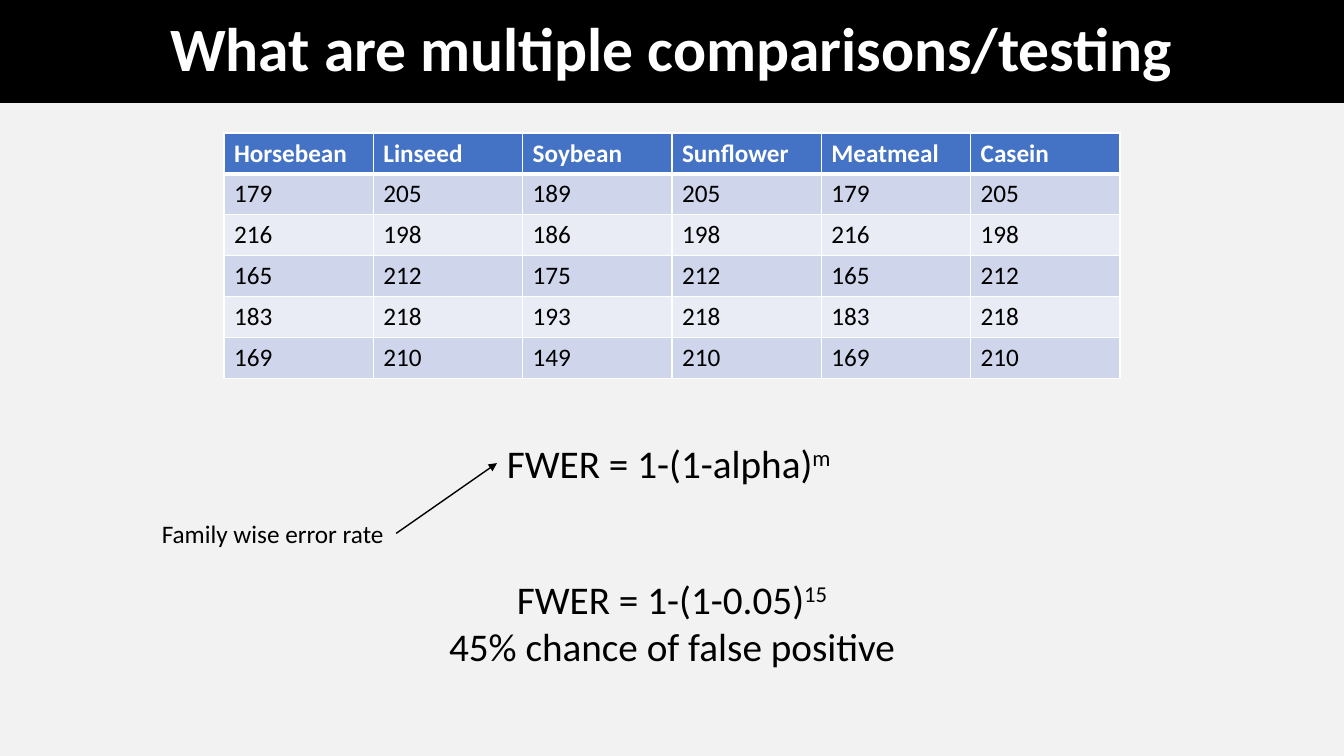
from lxml import etree
from pptx import Presentation, util as u
from pptx.dml.color import RGBColor
from pptx.enum import shapes, text
from pptx.oxml import ns

COLORS = {
    "background": "F2F2F2",
    "black": "000000",
    "white": "FFFFFF",
    "header": "4472C4",
    "odd_row": "CFD5EA",
    "even_row": "E9EBF5",
}
FEEDS = [
    ("Horsebean", "Linseed", "Soybean", "Sunflower", "Meatmeal", "Casein"),
    (179, 205, 189, 205, 179, 205),
    (216, 198, 186, 198, 216, 198),
    (165, 212, 175, 212, 165, 212),
    (183, 218, 193, 218, 183, 218),
    (169, 210, 149, 210, 169, 210),
]
COLUMN_WIDTH, ROW_HEIGHT = 106.67, 29.2


def color(name):
    return RGBColor.from_string(COLORS[name])


def add_run(paragraph, wording, size, font_color="black", bold=False, superscript=False):
    run = paragraph.add_run()
    run.text = wording
    font_format = {"name": "Calibri", "size": u.Pt(size), "bold": bold}
    for attribute, value in font_format.items():
        setattr(run.font, attribute, value)
    run.font.color.rgb = color(font_color)
    if superscript:
        run._r.get_or_add_rPr().set("baseline", "30000")


presentation = Presentation()
presentation.slide_width = u.Pt(960)
presentation.slide_height = u.Pt(540)
slide = presentation.slides.add_slide(presentation.slide_layouts[6])
slide.background.fill.solid()
slide.background.fill.fore_color.rgb = color("background")

title = slide.shapes.add_shape(
    shapes.MSO_SHAPE.RECTANGLE, u.Pt(0), u.Pt(0), u.Pt(960), u.Pt(73.5)
)
title.shadow.inherit = False
title.fill.solid()
title.fill.fore_color.rgb = color("black")
title.line.fill.background()
title.text_frame.vertical_anchor = text.MSO_ANCHOR.MIDDLE
paragraph = title.text_frame.paragraphs[0]
paragraph.alignment = text.PP_ALIGN.CENTER
paragraph.line_spacing = 0.9
add_run(paragraph, "What are multiple comparisons/testing", 44, "white", bold=True)

table = slide.shapes.add_table(
    len(FEEDS), len(FEEDS[0]), u.Pt(160), u.Pt(95),
    u.Pt(COLUMN_WIDTH * len(FEEDS[0])), u.Pt(ROW_HEIGHT * len(FEEDS)),
).table
for column in table.columns:
    column.width = u.Pt(COLUMN_WIDTH)
for row_index, values in enumerate(FEEDS):
    table.rows[row_index].height = u.Pt(ROW_HEIGHT)
    is_header = row_index == 0
    row_fill = "header" if is_header else ("even_row", "odd_row")[row_index % 2]
    borders = {
        "a:lnL": 1,
        "a:lnR": 1,
        "a:lnT": 3 if row_index == 1 else 1,
        "a:lnB": 3 if is_header else 1,
    }
    for column_index, value in enumerate(values):
        cell = table.cell(row_index, column_index)
        properties = cell._tc.get_or_add_tcPr()
        for tag, width in borders.items():
            border = etree.SubElement(properties, ns.qn(tag), w=str(u.Pt(width)))
            border_fill = etree.SubElement(border, ns.qn("a:solidFill"))
            etree.SubElement(border_fill, ns.qn("a:srgbClr"), val=COLORS["white"])
        cell.fill.solid()
        cell.fill.fore_color.rgb = color(row_fill)
        add_run(
            cell.text_frame.paragraphs[0], str(value), 18,
            "white" if is_header else "black", bold=is_header,
        )

NOTES = {
    "result": (
        (311.5, 407.5, 337, 75), 28, text.PP_ALIGN.CENTER,
        [("FWER = 1-(1-0.05)", "15"), ("45% chance of false positive", "")],
    ),
    "formula": (
        (355, 310.3, 250.5, 41), 28, text.PP_ALIGN.LEFT,
        [("FWER = 1-(1-alpha)", "m")],
    ),
    "label": (
        (108.5, 366.5, 174.5, 29), 18, text.PP_ALIGN.LEFT,
        [("Family wise error rate", "")],
    ),
}
boxes = {}
for name, (bounds, size, alignment, lines) in NOTES.items():
    boxes[name] = slide.shapes.add_textbox(*map(u.Pt, bounds))
    frame = boxes[name].text_frame
    frame.word_wrap = False
    frame.auto_size = text.MSO_AUTO_SIZE.SHAPE_TO_FIT_TEXT
    for index, (wording, exponent) in enumerate(lines):
        paragraph = frame.add_paragraph() if index else frame.paragraphs[0]
        paragraph.alignment = alignment
        add_run(paragraph, wording, size)
        if exponent:
            add_run(paragraph, exponent, size, superscript=True)

arrow = slide.shapes.add_connector(
    shapes.MSO_CONNECTOR.STRAIGHT, u.Pt(283), u.Pt(381), u.Pt(355), u.Pt(330.8)
)
arrow.begin_connect(boxes["label"], 3)
arrow.end_connect(boxes["formula"], 1)
arrow.line.width = u.Pt(1)
arrow.line.color.rgb = color("black")
etree.SubElement(arrow.line._get_or_add_ln(), ns.qn("a:tailEnd"), type="triangle")
etree.SubElement(arrow._element.spPr, ns.qn("a:effectLst"))

presentation.save("out.pptx")
